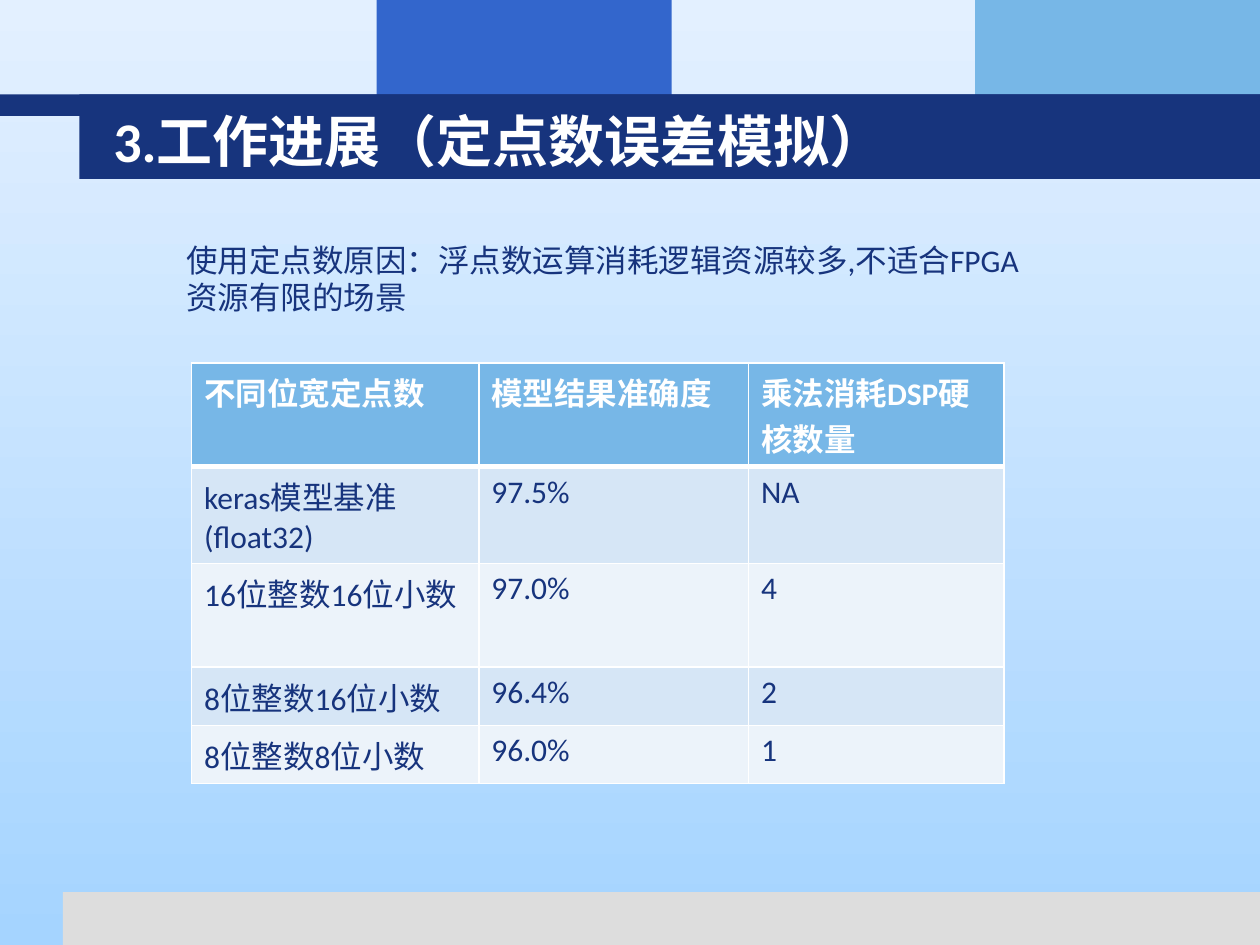
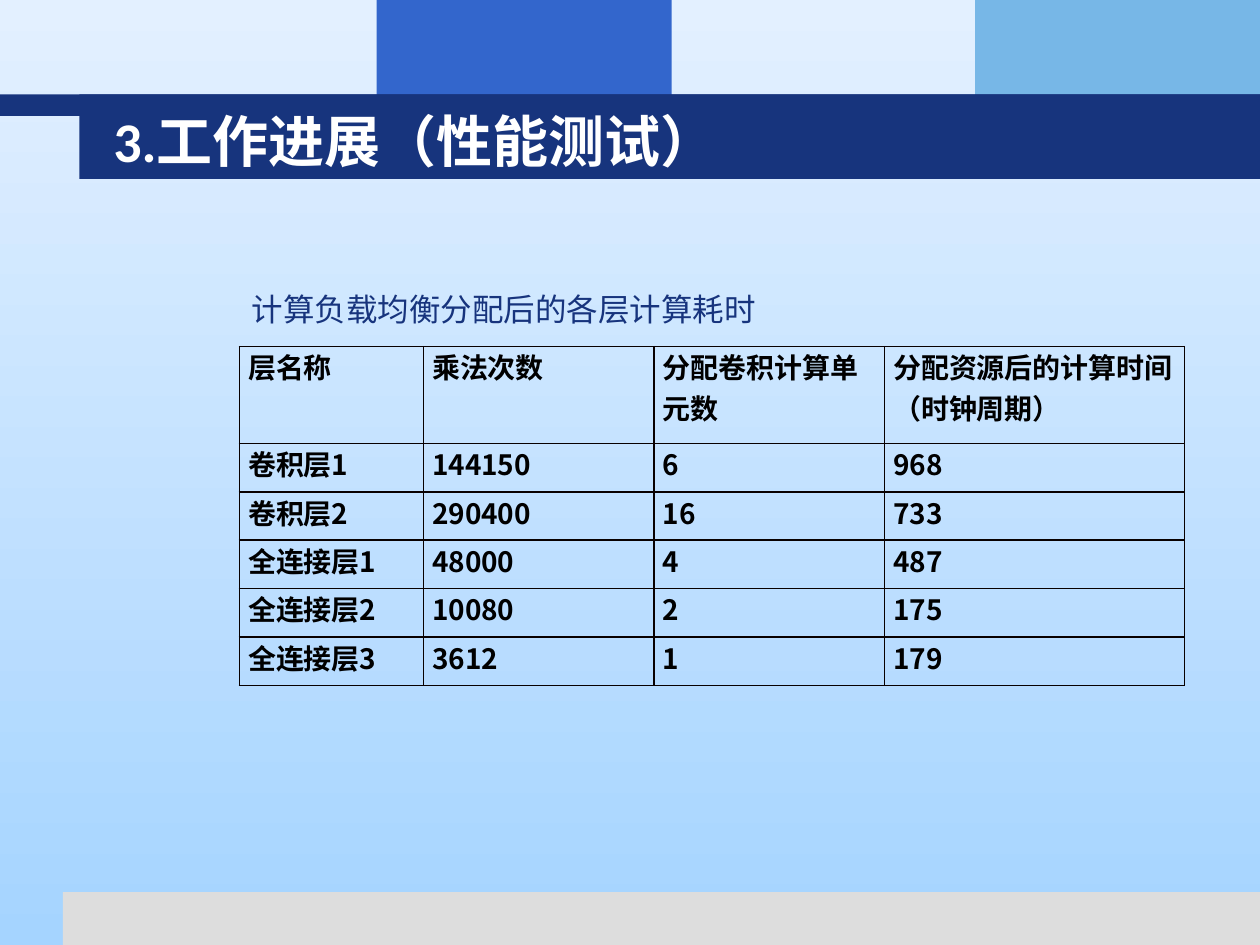
from lxml import etree
from pptx import Presentation
from pptx.dml.color import RGBColor
from pptx.enum.shapes import MSO_SHAPE as Shape
from pptx.enum.text import MSO_ANCHOR as Anchor, PP_ALIGN as Align
from pptx.oxml.ns import qn
from pptx.util import Inches, Pt

COLORS = {
    "sky_bottom": "A5D4FF",
    "sky_top": "E3F0FF",
    "navy": "17347D",
    "blue": "3366CC",
    "light_blue": "77B7E7",
    "gray": "DDDDDD",
    "white": "FFFFFF",
    "black": "000000",
    "grid": "080000",
    "row_dark": "D6E6F6",
    "row_light": "ECF3FA",
}
LATIN, CJK = "Calibri", "Noto Sans CJK SC"

# Text styles: font attributes, colour and East Asian typeface
TITLE = {"font": {"size": Pt(32), "name": LATIN, "bold": True}, "color": "white", "east": CJK}
CAPTION = {"font": {"size": Pt(18), "name": LATIN, "bold": False}, "color": "navy", "east": LATIN}
HEADER = {"font": {"size": Pt(18), "name": LATIN, "bold": True}, "color": "white", "east": CJK}
BODY = {"font": {"size": Pt(18), "name": LATIN, "bold": False}, "color": "navy", "east": CJK}
TIMING = {"font": {"size": Pt(16), "name": CJK, "bold": True}, "color": "black", "east": CJK}

# Shared bands: left, top, width, height, colour
BANDS = [
    (0.5, 7.08, 9.5, 0.42, "gray"),
    (2.99, 0, 2.34, 0.92, "blue"),
    (7.74, 0, 2.26, 0.92, "light_blue"),
    (0, 0.75, 10, 0.17, "navy"),
    (0.63, 0.75, 9.37, 0.67, "navy"),
]

ACCURACY = [
    ("不同位宽定点数", "模型结果准确度", "乘法消耗DSP硬核数量"),
    ("keras模型基准(float32)", "97.5%", "NA"),
    ("16位整数16位小数", "97.0%", "4"),
    ("8位整数16位小数", "96.4%", "2"),
    ("8位整数8位小数", "96.0%", "1"),
]
LAYER_TIMES = [
    ("层名称", "乘法次数", "分配卷积计算单元数", "分配资源后的计算时间（时钟周期）"),
    ("卷积层1", "144150", "6", "968"),
    ("卷积层2", "290400", "16", "733"),
    ("全连接层1", "48000", "4", "487"),
    ("全连接层2", "10080", "2", "175"),
    ("全连接层3", "3612", "1", "179"),
]


def rgb(name):
    return RGBColor.from_string(COLORS[name])


def write(frame, text, style):
    frame.text = text
    run = frame.paragraphs[0].runs[0]
    for attribute, value in style["font"].items():
        setattr(run.font, attribute, value)
    run.font.color.rgb = rgb(style["color"])
    etree.SubElement(run.font._element, qn("a:ea"), typeface=style["east"])


def set_background(master):
    fill = master.background.fill
    fill.gradient()
    fill.gradient_angle = 90
    for stop, name in zip(fill.gradient_stops, ("sky_bottom", "sky_top")):
        stop.color.rgb = rgb(name)


def add_band(slide, left, top, width, height, color):
    band = slide.shapes.add_shape(
        Shape.RECTANGLE, Inches(left), Inches(top), Inches(width), Inches(height))
    band.shadow.inherit = False
    band.fill.solid()
    band.fill.fore_color.rgb = rgb(color)
    band.line.fill.background()


def add_titled_slide(prs, heading):
    slide = prs.slides.add_slide(prs.slide_layouts[5])
    for band in BANDS:
        add_band(slide, *band)
    title = slide.shapes.title
    slide.shapes._spTree.append(title._element)  # bring in front of the bands
    place = {"left": 0.8, "top": 0.8, "width": 8.53, "height": 0.62}
    for attribute, value in place.items():
        setattr(title, attribute, Inches(value))
    write(title.text_frame, heading, TITLE)
    title.text_frame.vertical_anchor = Anchor.MIDDLE
    title.text_frame.paragraphs[0].alignment = Align.LEFT
    return slide


def add_caption(slide, text, left, top, width, height):
    caption = slide.shapes.add_textbox(
        Inches(left), Inches(top), Inches(width), Inches(height))
    caption.text_frame.word_wrap = True
    write(caption.text_frame, text, CAPTION)


def set_borders(cell, color, **widths):
    """Draw the four cell edges; widths in points override the default of 1."""
    properties = cell._tc.get_or_add_tcPr()
    for side in "LRTB":
        edge = etree.SubElement(
            properties, qn(f"a:ln{side}"), w=str(Pt(widths.get(side, 1))))
        fill = etree.SubElement(edge, qn("a:solidFill"))
        etree.SubElement(fill, qn("a:srgbClr"), val=COLORS[color])


def add_grid(slide, rows, left, top, widths, heights):
    """Add a table without the preset style flags and yield its cells."""
    table = slide.shapes.add_table(
        len(rows), len(widths), Inches(left), Inches(top),
        Inches(sum(widths)), Inches(sum(heights))).table
    table.first_row = table.horz_banding = False
    for column, width in zip(table.columns, widths):
        column.width = Inches(width)
    for row, height in zip(table.rows, heights):
        row.height = Inches(height)
    for r, texts in enumerate(rows):
        for c, text in enumerate(texts):
            yield r, table.cell(r, c), text


def add_accuracy_table(slide):
    heights = [0.42, 0.7, 0.42, 0.42, 0.42]
    for r, cell, text in add_grid(slide, ACCURACY, 1.52, 2.88, [2.28, 2.14, 2.03], heights):
        write(cell.text_frame, text, BODY if r else HEADER)
        # Thick rule between the header and the first row
        set_borders(cell, "white", B=1 if r else 3, T=3 if r == 1 else 1)
        cell.fill.solid()
        banding = "row_dark" if r % 2 else "row_light"
        cell.fill.fore_color.rgb = rgb(banding if r else "light_blue")


def add_timing_table(slide):
    heights = [0.77] + [0.384] * 5
    margins = {"margin_left": 0.07, "margin_right": 0.07, "margin_top": 0, "margin_bottom": 0}
    for _, cell, text in add_grid(slide, LAYER_TIMES, 1.9, 2.75, [1.46, 1.83, 1.83, 2.38], heights):
        write(cell.text_frame, text, TIMING)
        for attribute, value in margins.items():
            setattr(cell, attribute, Inches(value))
        set_borders(cell, "grid")
        cell.fill.background()


def main():
    prs = Presentation()
    prs.slide_width, prs.slide_height = Inches(10), Inches(7.5)
    set_background(prs.slide_master)

    # Fixed-point error simulation
    accuracy = add_titled_slide(prs, "3.工作进展（定点数误差模拟）")
    add_accuracy_table(accuracy)
    add_caption(accuracy, "使用定点数原因：浮点数运算消耗逻辑资源较多,不适合FPGA 资源有限的场景",
                1.38, 1.86, 6.96, 0.71)

    # Performance test
    performance = add_titled_slide(prs, "3.工作进展（性能测试）")
    add_timing_table(performance)
    add_caption(performance, "计算负载均衡分配后的各层计算耗时", 1.9, 2.25, 4.87, 0.4)

    prs.save("out.pptx")


if __name__ == "__main__":
    main()
